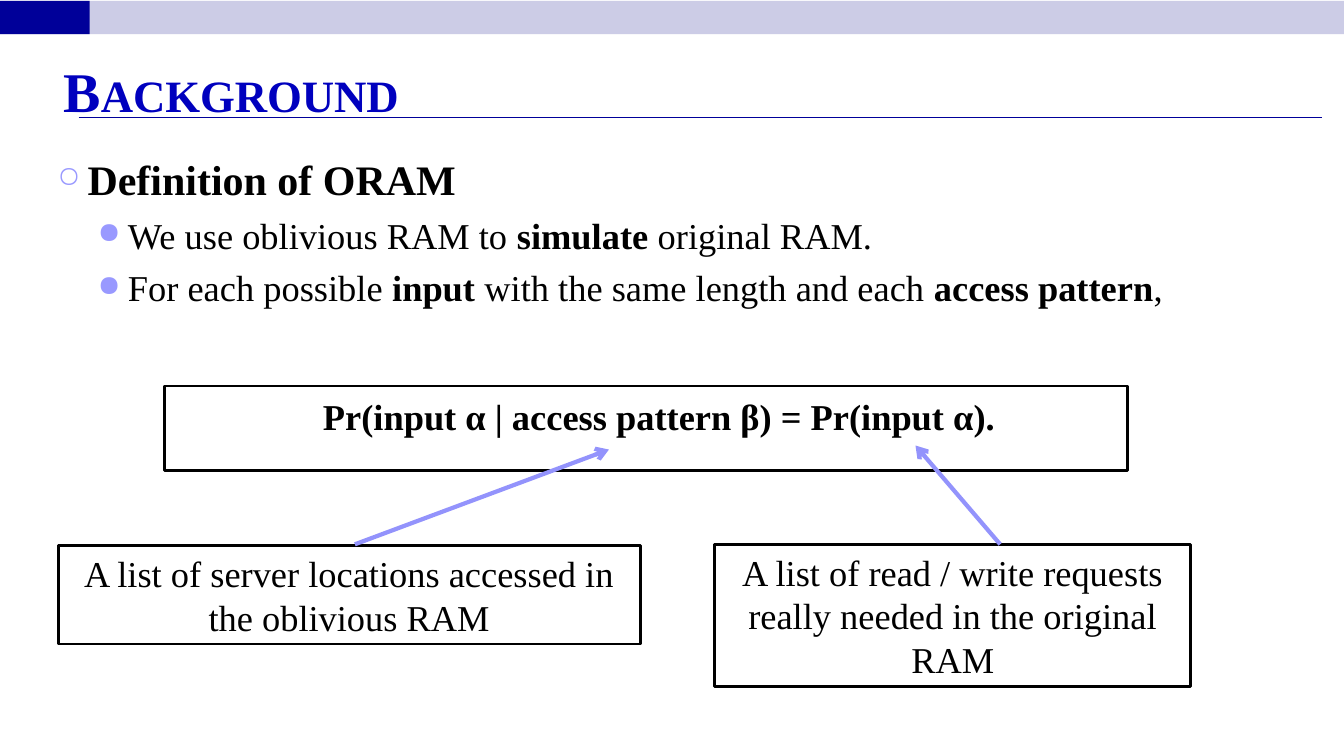
"""Build the Background slide that defines oblivious RAM."""
from lxml import etree
from pptx import Presentation
from pptx.dml.color import RGBColor
from pptx.enum.shapes import MSO_CONNECTOR, MSO_SHAPE
from pptx.enum.text import MSO_ANCHOR, PP_ALIGN
from pptx.oxml.ns import qn
from pptx.util import Inches, Pt

RECT, LINE = MSO_SHAPE.RECTANGLE, MSO_CONNECTOR.STRAIGHT
TOP, MIDDLE = MSO_ANCHOR.TOP, MSO_ANCHOR.MIDDLE
LEFT, CENTER = PP_ALIGN.LEFT, PP_ALIGN.CENTER
COLORS = {"band": "CCCCE6", "navy": "000099", "title": "0000BE", "bullet": "9999FF",
          "arrow": "9393FC", "text": "000000", "paper": "FFFFFF"}


def rgb(name):
    return RGBColor.from_string(COLORS[name])


def add_run(p, text, size, bold=False, color="text"):
    r = p.add_run()
    r.text = text
    for key, value in {"name": "Times New Roman", "size": Pt(size), "bold": bold}.items():
        setattr(r.font, key, value)
    r.font.color.rgb = rgb(color)
    return r


prs = Presentation()
prs.slide_width, prs.slide_height = Inches(13.33), Inches(7.5)
s = prs.slides.add_slide(prs.slide_layouts[5])

for width, color in ((13.33, "band"), (0.89, "navy")):
    sp = s.shapes.add_shape(RECT, 0, Inches(0.01), Inches(width), Inches(0.33))
    sp.shadow.inherit = False
    sp.fill.solid()
    sp.fill.fore_color.rgb = rgb(color)
    sp.line.fill.background()

title = s.shapes.title
title_box = {"left": 0.53, "top": 0.52, "width": 12.25, "height": 0.74}
for key, value in title_box.items():
    setattr(title, key, Inches(value))
tf = title.text_frame
tf.vertical_anchor = MIDDLE
p = tf.paragraphs[0]
p.alignment = LEFT
r = add_run(p, "Background", 40, True, "title")
r.font._element.set("cap", "small")

bullets = [
    (0, "○", 70, 0.3, 30, 6, [("Definition of ORAM", True)]),
    (1, "●", 80, 0.7, 26, 6.5, [("We use oblivious RAM to ", False), ("simulate ", True),
                                ("original RAM.", False)]),
    (1, "●", 80, 0.7, 26, 6.5, [("For each possible ", False), ("input ", True),
                                ("with the same length and each ", False),
                                ("access pattern", True), (",", False)]),
]
body = s.shapes.add_textbox(Inches(0.47), Inches(1.47), Inches(11.97), Inches(5.48))
tf = body.text_frame
tf.word_wrap = True
for i, (level, char, percent, margin, size, before, runs) in enumerate(bullets):
    p = tf.add_paragraph() if i else tf.paragraphs[0]
    p.level = level
    p.space_before = Pt(before)
    pPr = p._p.get_or_add_pPr()
    pPr.set("marL", str(Inches(margin)))
    pPr.set("indent", str(Inches(-0.3)))
    clr = etree.SubElement(pPr, qn("a:buClr"))
    etree.SubElement(clr, qn("a:srgbClr"), val=COLORS["bullet"])
    etree.SubElement(pPr, qn("a:buSzPct"), val=str(percent * 1000))
    etree.SubElement(pPr, qn("a:buChar"), char=char)
    for text, bold in runs:
        add_run(p, text, size, bold)

boxes = [
    (1.63, 3.83, 9.55, 0.84, TOP, 0.08, 0.37, True,
     "Pr(input α | access pattern β) = Pr(input α)."),
    (7.09, 5.4, 4.72, 1.41, MIDDLE, 0.05, 0.1, False,
     "A list of read / write requests really needed in the original RAM"),
    (0.58, 5.41, 5.77, 0.98, MIDDLE, 0.05, 0.1, False,
     "A list of server locations accessed in the oblivious RAM"),
]
for x, y, w, h, anchor, inset_top, inset_left, bold, text in boxes:
    sp = s.shapes.add_shape(RECT, Inches(x), Inches(y), Inches(w), Inches(h))
    sp.shadow.inherit = False
    sp.fill.solid()
    sp.fill.fore_color.rgb = rgb("paper")
    sp.line.color.rgb = rgb("text")
    sp.line.width = Pt(2)
    tf = sp.text_frame
    for key, value in {"word_wrap": True, "vertical_anchor": anchor,
                       "margin_top": Inches(inset_top),
                       "margin_left": Inches(inset_left)}.items():
        setattr(tf, key, value)
    p = tf.paragraphs[0]
    p.alignment = CENTER
    add_run(p, text, 26, bold)

lines = [
    (0.78, 1.17, 13.11, 1.17, "navy", 0.75, False),
    (9.92, 5.4, 9.08, 4.42, "arrow", 3, True),
    (3.52, 5.4, 6.04, 4.46, "arrow", 3, True),
]
for x1, y1, x2, y2, color, width, has_head in lines:
    sp = s.shapes.add_connector(LINE, Inches(x1), Inches(y1), Inches(x2), Inches(y2))
    sp.line.color.rgb = rgb(color)
    sp.line.width = Pt(width)
    if has_head:
        etree.SubElement(sp.line._get_or_add_ln(), qn("a:tailEnd"), type="arrow")
    etree.SubElement(sp._element.spPr, qn("a:effectLst"))

prs.save("out.pptx")
